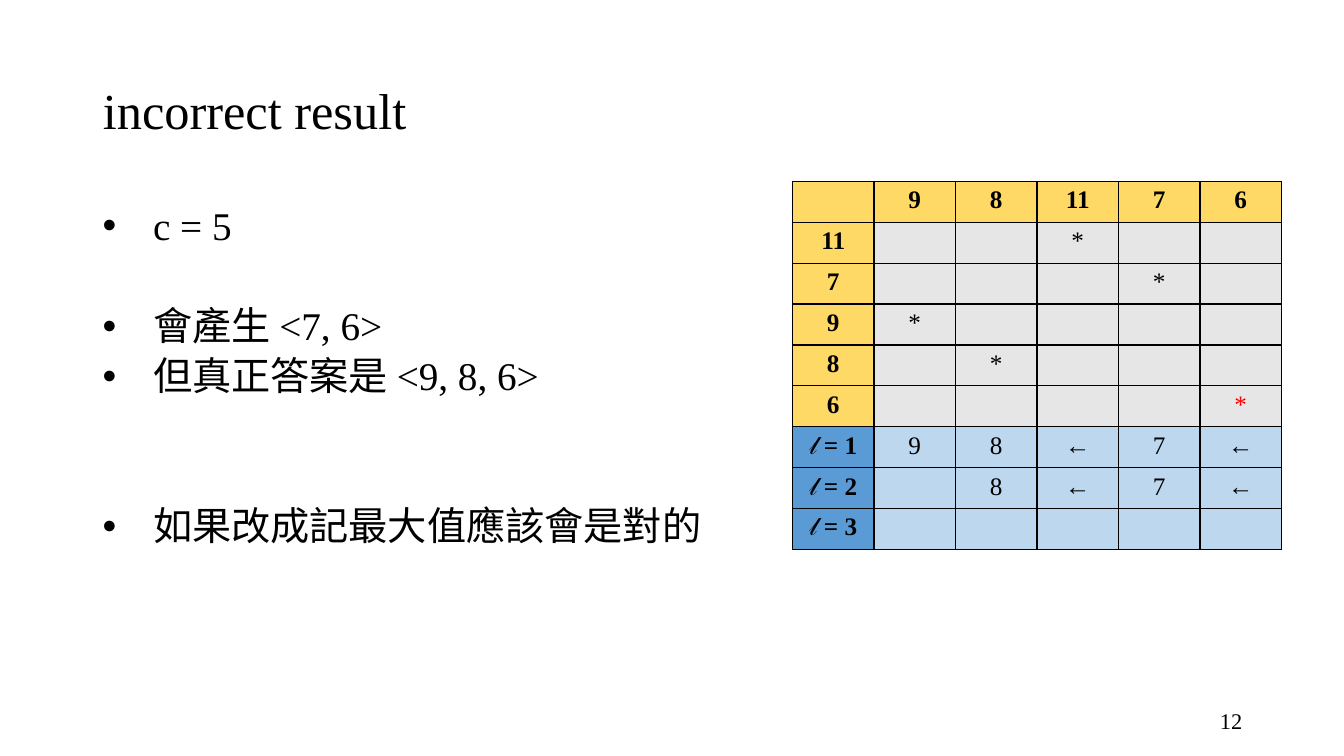
from lxml.etree import SubElement
from pptx import Presentation
from pptx.dml.color import RGBColor
from pptx.enum.text import MSO_ANCHOR, PP_ALIGN
from pptx.oxml.ns import qn
from pptx.util import Inches, Pt

TITLE = "incorrect result"
PAGE_NUMBER = "12"
# Text and the number of empty lines above it
POINTS = [
    ("c = 5", 0),
    ("會產生 <7, 6>", 1),
    ("但真正答案是 <9, 8, 6>", 0),
    ("如果改成記最大值應該會是對的", 2),
]
GRID = [
    ["", "9", "8", "11", "7", "6"],
    ["11", "", "", "*", "", ""],
    ["7", "", "", "", "*", ""],
    ["9", "*", "", "", "", ""],
    ["8", "", "*", "", "", ""],
    ["6", "", "", "", "", "*"],
    ["𝓁 = 1", "9", "8", "←", "7", "←"],
    ["𝓁 = 2", "", "8", "←", "7", "←"],
    ["𝓁 = 3", "", "", "", "", ""],
]
FIRST_LENGTH_ROW = 6
RED_CELL = (5, 5)

BLACK = RGBColor(0x00, 0x00, 0x00)
RED = RGBColor(0xFF, 0x00, 0x00)
GOLD = RGBColor(0xFF, 0xD9, 0x66)
GREY = RGBColor(0xE7, 0xE6, 0xE6)
BLUE = RGBColor(0x5B, 0x9B, 0xD5)
PALE_BLUE = RGBColor(0xBD, 0xD7, 0xEE)

FONT = "Times New Roman"
LEFT = Inches(0.92)
LINE_SPACING = 0.9
SPACE_BEFORE = 5.6
LINE_PITCH = 35.7
TABLE_FRAME = [Inches(value) for value in (7.86, 1.8, 4.85, 3.65)]


def format_paragraph(paragraph, size, color=BLACK, bold=False, **layout):
    for name, value in layout.items():
        setattr(paragraph, name, value)
    for name, value in {"name": FONT, "size": Pt(size), "bold": bold}.items():
        setattr(paragraph.font, name, value)
    paragraph.font.color.rgb = color


def add_bullet(paragraph):
    properties = paragraph._p.get_or_add_pPr()
    properties.set("marL", str(Inches(0.5)))
    properties.set("indent", str(-Inches(0.5)))
    SubElement(properties, qn("a:buFont"), typeface="Arial")
    SubElement(properties, qn("a:buChar"), char="•")


def add_borders(cell):
    properties = cell._tc.get_or_add_tcPr()
    for position, side in enumerate(("lnL", "lnR", "lnT", "lnB")):
        line = properties.makeelement(qn(f"a:{side}"), {"w": str(Pt(1))})
        fill = SubElement(line, qn("a:solidFill"))
        SubElement(fill, qn("a:srgbClr"), val=str(BLACK))
        properties.insert(position, line)


def cell_fill(row, column):
    if row >= FIRST_LENGTH_ROW:
        return PALE_BLUE if column else BLUE
    return GREY if row and column else GOLD


def add_title(slide):
    title = slide.shapes.title
    frame = {"left": LEFT, "top": Inches(0.4),
             "width": Inches(12.07), "height": Inches(1.45)}
    for name, value in frame.items():
        setattr(title, name, value)
    title.text_frame.text = TITLE
    title.text_frame.vertical_anchor = MSO_ANCHOR.MIDDLE
    format_paragraph(title.text_frame.paragraphs[0], 36,
                     alignment=PP_ALIGN.LEFT, line_spacing=LINE_SPACING)


def add_points(slide):
    box = slide.shapes.add_textbox(LEFT, Inches(2), Inches(11.5), Inches(4.76))
    text_frame = box.text_frame
    text_frame.word_wrap = True
    for index, (text, empty_lines) in enumerate(POINTS):
        paragraph = text_frame.add_paragraph() if index else text_frame.paragraphs[0]
        paragraph.text = text
        add_bullet(paragraph)
        gap = SPACE_BEFORE + empty_lines * LINE_PITCH if index else 0
        format_paragraph(paragraph, 28, line_spacing=LINE_SPACING,
                         space_before=Pt(gap))


def add_grid(slide):
    table = slide.shapes.add_table(len(GRID), len(GRID[0]), *TABLE_FRAME).table
    table.first_row = table.horz_banding = False
    for row, texts in enumerate(GRID):
        for column, text in enumerate(texts):
            cell = table.cell(row, column)
            cell.text = text
            cell.fill.solid()
            cell.fill.fore_color.rgb = cell_fill(row, column)
            add_borders(cell)
            format_paragraph(cell.text_frame.paragraphs[0], 18,
                             color=RED if (row, column) == RED_CELL else BLACK,
                             bold=row == 0 or column == 0,
                             alignment=PP_ALIGN.CENTER)


def add_page_number(slide):
    box = slide.shapes.add_textbox(Inches(9.42), Inches(6.95), Inches(3), Inches(0.4))
    box.text_frame.word_wrap = True
    box.text_frame.vertical_anchor = MSO_ANCHOR.MIDDLE
    box.text_frame.text = PAGE_NUMBER
    format_paragraph(box.text_frame.paragraphs[0], 16, alignment=PP_ALIGN.RIGHT)


def main():
    presentation = Presentation()
    presentation.slide_width = Inches(13.33)
    presentation.slide_height = Inches(7.5)
    slide = presentation.slides.add_slide(presentation.slide_layouts[5])
    for add_part in (add_title, add_points, add_page_number, add_grid):
        add_part(slide)
    presentation.save("out.pptx")


if __name__ == "__main__":
    main()
